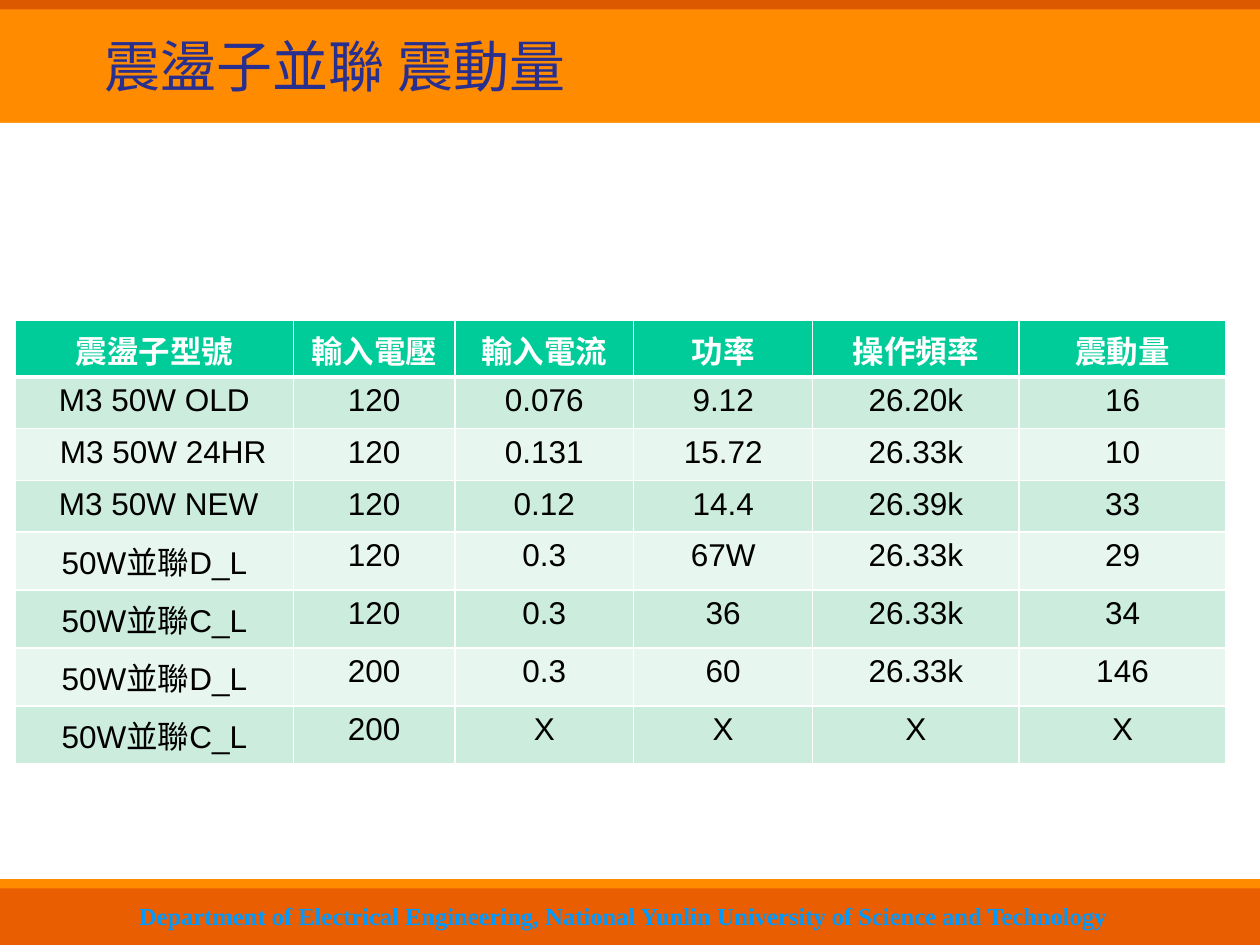
from typing import NamedTuple

from lxml.etree import SubElement as Sub
from pptx import Presentation
from pptx.dml.color import RGBColor
from pptx.enum.shapes import MSO_SHAPE as Shape
from pptx.enum.text import MSO_ANCHOR as Anchor, PP_ALIGN as Align
from pptx.oxml.ns import qn
from pptx.util import Inches, Pt

WHITE = RGBColor(0xFF, 0xFF, 0xFF)
BLACK = RGBColor(0, 0, 0)
ORANGE = RGBColor(0xFF, 0x8C, 0x00)
RUST = RGBColor(0xDC, 0x59, 0x00)
BRICK = RGBColor(0xE8, 0x5E, 0x00)
NAVY = RGBColor(0x28, 0x2F, 0x8E)
BLUE = RGBColor(0x00, 0x99, 0xFF)
SHADE = RGBColor(0xC0, 0xC0, 0xC0)
TEAL = RGBColor(0x00, 0xCC, 0x99)
MINT = RGBColor(0xCC, 0xEC, 0xDE)
PALE = RGBColor(0xE7, 0xF6, 0xEF)

WIDE, HIGH = Inches(10), Inches(7.5)
SERIF, SANS = "Times New Roman", "Arial"


class Box(NamedTuple):
    """Place and size as shares of the slide."""
    left: float
    top: float
    width: float
    height: float

    def scale(self) -> tuple:
        """Return the box in slide units."""
        return (int(self.left * WIDE), int(self.top * HIGH),
                int(self.width * WIDE), int(self.height * HIGH))


class Band(NamedTuple):
    """A plain coloured strip."""
    box: Box
    color: RGBColor


BANDS = [
    Band(Box(0, 0, 1, 1), ORANGE),
    Band(Box(0, 0, 1, 0.01), RUST),
    Band(Box(0, 0.13, 1, 0.8), WHITE),
    Band(Box(0, 0.94, 1, 0.06), BRICK),
]
TITLE = Box(0.083, -0.01, 0.9, 0.167)
FOOT = Box(0.09, 0.947, 0.81, 0.044)
GRID = Box(0.012, 0.339, 0.961, 0.469)
COLS = [2.21, 1.28, 1.42, 1.42, 1.64, 1.64]
ROWS = [0.45] + [0.41] * 3 + [0.46] * 4
SHIFT = {2: 0.14, 3: 0.07}
DATA = [
    ["震盪子型號", "輸入電壓", "輸入電流", "功率", "操作頻率", "震動量"],
    ["M3 50W OLD", "120", "0.076", "9.12", "26.20k", "16"],
    ["M3 50W 24HR", "120", "0.131", "15.72", "26.33k", "10"],
    ["M3 50W NEW", "120", "0.12", "14.4", "26.39k", "33"],
    ["50W並聯D_L", "120", "0.3", "67W", "26.33k", "29"],
    ["50W並聯C_L", "120", "0.3", "36", "26.33k", "34"],
    ["50W並聯D_L", "200", "0.3", "60", "26.33k", "146"],
    ["50W並聯C_L", "200", "X", "X", "X", "X"],
]


def write(frame, text: str, *, size: float, font: str, color: RGBColor,
          bold: bool = False, align=Align.CENTER, space: float = 1):
    """Fill a text frame with one formatted run and return it."""
    para = frame.paragraphs[0]
    para.alignment = align
    para.line_spacing = space
    run = para.add_run()
    run.text = text
    run.font.size, run.font.name = Pt(size), font
    run.font.bold = bold
    run.font.color.rgb = color
    return run


def frame(slide, box: Box, pad: tuple = (0, 0)):
    """Add a wrapped, middle-anchored text box and return its frame."""
    text = slide.shapes.add_textbox(*box.scale()).text_frame
    text.word_wrap = True
    text.vertical_anchor = Anchor.MIDDLE
    text.margin_left = text.margin_right = Inches(pad[0])
    text.margin_top = text.margin_bottom = Inches(pad[1])
    return text


def strip(slide, band: Band) -> None:
    """Draw one coloured strip."""
    shape = slide.shapes.add_shape(Shape.RECTANGLE, *band.box.scale())
    shape.shadow.inherit = False
    shape.fill.solid()
    shape.fill.fore_color.rgb = band.color
    shape.line.fill.background()


def shadow(run) -> None:
    """Give a run a small grey shadow below right."""
    props = run.font._element
    effect = Sub(props, qn("a:effectLst"))
    props.find(qn("a:solidFill")).addnext(effect)
    outer = Sub(effect, qn("a:outerShdw"), dist="17961", dir="2700000")
    Sub(outer, qn("a:srgbClr"), val=str(SHADE))


def border(cell, row: int) -> None:
    """Draw white borders, heavy between header and body."""
    heavy = {(0, "B"), (1, "T")}
    props = cell._tc.get_or_add_tcPr()
    for side in "LRTB":
        width = Pt(3 if (row, side) in heavy else 1)
        line = Sub(props, qn(f"a:ln{side}"), w=str(width))
        fill = Sub(line, qn("a:solidFill"))
        Sub(fill, qn("a:srgbClr"), val=str(WHITE))


def table(slide) -> None:
    """Draw the table of measured values."""
    grid = slide.shapes.add_table(len(ROWS), len(COLS), *GRID.scale()).table
    grid.horz_banding = False
    for col, width in zip(grid.columns, COLS):
        col.width = Inches(width)
    for num, (row, high, line) in enumerate(zip(grid.rows, ROWS, DATA)):
        row.height = Inches(high)
        head = num == 0
        for cell, text in zip(row.cells, line):
            border(cell, num)
            cell.fill.solid()
            cell.fill.fore_color.rgb = TEAL if head else (PALE, MINT)[num % 2]
            write(cell.text_frame, text, size=18, font=SANS, bold=head,
                  color=WHITE if head else BLACK)
        row.cells[0].margin_left = Inches(0.1 + SHIFT.get(num, 0))


def main() -> None:
    """Build and save the slide."""
    deck = Presentation()
    deck.slide_width, deck.slide_height = WIDE, HIGH
    slide = deck.slides.add_slide(deck.slide_layouts[6])
    for band in BANDS:
        strip(slide, band)
    foot = write(frame(slide, FOOT, (0.1, 0.05)),
                 "Department of Electrical Engineering, "
                 "National Yunlin University of Science and Technology",
                 size=14, font=SERIF, color=BLUE, bold=True)
    shadow(foot)
    write(frame(slide, TITLE), "震盪子並聯 震動量", size=32, font=SERIF,
          color=NAVY, align=Align.LEFT, space=0.9)
    table(slide)
    deck.save("out.pptx")


if __name__ == "__main__":
    main()
